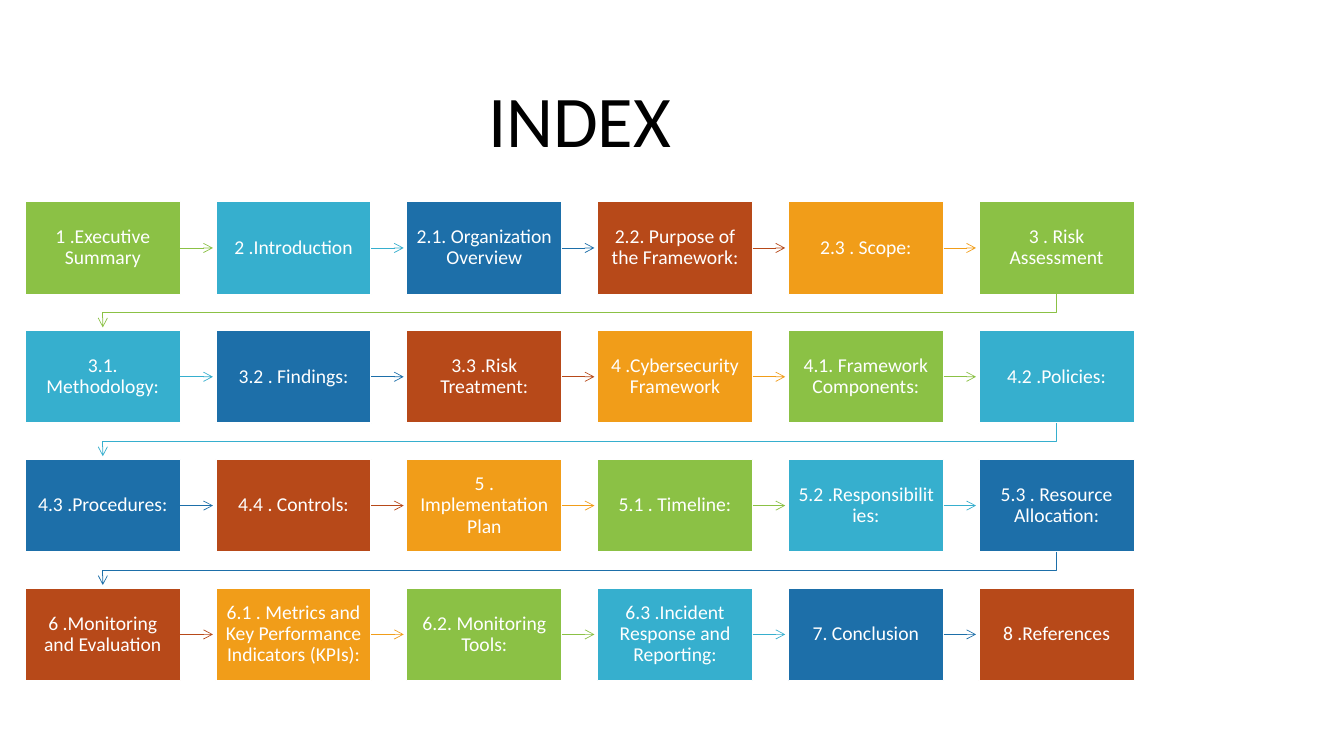
from lxml.etree import SubElement
from pptx import Presentation
from pptx.dml.color import RGBColor
from pptx.enum.shapes import MSO_CONNECTOR, MSO_SHAPE
from pptx.enum.text import MSO_ANCHOR, PP_ALIGN
from pptx.oxml.ns import qn
from pptx.util import Inches, Pt

BLACK = RGBColor(0x00, 0x00, 0x00)
WHITE = RGBColor(0xFF, 0xFF, 0xFF)
GREEN = RGBColor(0x8B, 0xC1, 0x45)
CYAN = RGBColor(0x36, 0xAF, 0xCE)
BLUE = RGBColor(0x1D, 0x6F, 0xA9)
RUST = RGBColor(0xB7, 0x49, 0x19)
AMBER = RGBColor(0xF1, 0x9D, 0x19)
CYCLE = [GREEN, CYAN, BLUE, RUST, AMBER]

TOPICS = [
    ["1 .Executive Summary", "2 .Introduction", "2.1. Organization Overview",
     "2.2. Purpose of the Framework:", "2.3 . Scope:", "3 . Risk Assessment"],
    ["3.1. Methodology:", "3.2 . Findings:", "3.3 .Risk Treatment:",
     "4 .Cybersecurity Framework", "4.1. Framework Components:", "4.2 .Policies:"],
    ["4.3 .Procedures:", "4.4 . Controls:", "5 . Implementation Plan",
     "5.1 . Timeline:", "5.2 .Responsibilities:", "5.3 . Resource Allocation:"],
    ["6 .Monitoring and Evaluation", "6.1 . Metrics and Key Performance Indicators (KPIs):",
     "6.2. Monitoring Tools:", "6.3 .Incident Response and Reporting:",
     "7. Conclusion", "8 .References"],
]


def write(shape, text, size=14, color=WHITE, font="Calibri", inset=0.08):
    frame = shape.text_frame
    frame.word_wrap = True
    frame.vertical_anchor = MSO_ANCHOR.MIDDLE
    frame.margin_left = frame.margin_right = Inches(inset)
    frame.margin_top = frame.margin_bottom = Inches(inset)
    para = frame.paragraphs[0]
    para.alignment = PP_ALIGN.CENTER
    para.line_spacing = 0.9
    run = para.add_run()
    run.text = text
    run.font.name, run.font.size = font, Pt(size)
    run.font.color.rgb = color


class Board:
    left, top = 0.25, 2
    step_x, step_y = 1.892, 1.278
    wide, high = 1.54, 0.92
    gap = 0.03
    thin, edge = Pt(0.5), Pt(1)

    def __init__(self, slide):
        self.shapes = slide.shapes

    def spot(self, col, row):
        return self.left + col * self.step_x, self.top + row * self.step_y

    def title(self, text):
        box = self.shapes.add_textbox(0, Inches(0.61), Inches(11.5), Inches(1.24))
        write(box, text, size=52, color=BLACK)

    def card(self, col, row, text, color):
        x, y = self.spot(col, row)
        box = self.shapes.add_shape(MSO_SHAPE.RECTANGLE, Inches(x), Inches(y),
                                    Inches(self.wide), Inches(self.high))
        box.shadow.inherit = False
        box.fill.solid()
        box.fill.fore_color.rgb = color
        box.line.color.rgb, box.line.width = WHITE, self.edge
        write(box, text)
        return box

    def tip(self, shape, color):
        shape.line.color.rgb, shape.line.width = color, self.thin
        line = shape.element.spPr.find(qn("a:ln"))
        SubElement(line, qn("a:tailEnd")).set("type", "arrow")

    def arrow(self, card, col, row, color):
        x, y = self.spot(col, row)
        mid = Inches(y + self.high / 2)
        link = self.shapes.add_connector(
            MSO_CONNECTOR.STRAIGHT, Inches(x + self.wide), mid,
            Inches(x + self.step_x - self.gap), mid)
        link.begin_connect(card, 3)
        self.tip(link, color)
        SubElement(link.element.spPr, qn("a:effectLst"))

    def turn(self, col, row, color):
        x, y = self.spot(col, row)
        half = self.wide / 2
        start, end = x + half, self.left + half
        foot = y + self.high
        bend = (foot + y + self.step_y) / 2
        stop = y + self.step_y - self.gap
        pen = self.shapes.build_freeform(Inches(start), Inches(foot))
        pen.add_line_segments([(Inches(start), Inches(bend)), (Inches(end), Inches(bend)),
                               (Inches(end), Inches(stop))], close=False)
        bent = pen.convert_to_shape()
        bent.shadow.inherit = False
        bent.fill.background()
        self.tip(bent, color)


def main():
    deck = Presentation()
    deck.slide_width, deck.slide_height = Inches(13.33), Inches(7.5)
    board = Board(deck.slides.add_slide(deck.slide_layouts[6]))
    board.title("INDEX")
    for row, topics in enumerate(TOPICS):
        last = len(topics) - 1
        for col, text in enumerate(topics):
            color = CYCLE[(row * len(topics) + col) % len(CYCLE)]
            card = board.card(col, row, text, color)
            if col < last:
                board.arrow(card, col, row, color)
            elif row < len(TOPICS) - 1:
                board.turn(col, row, color)
    deck.save("out.pptx")


if __name__ == "__main__":
    main()
